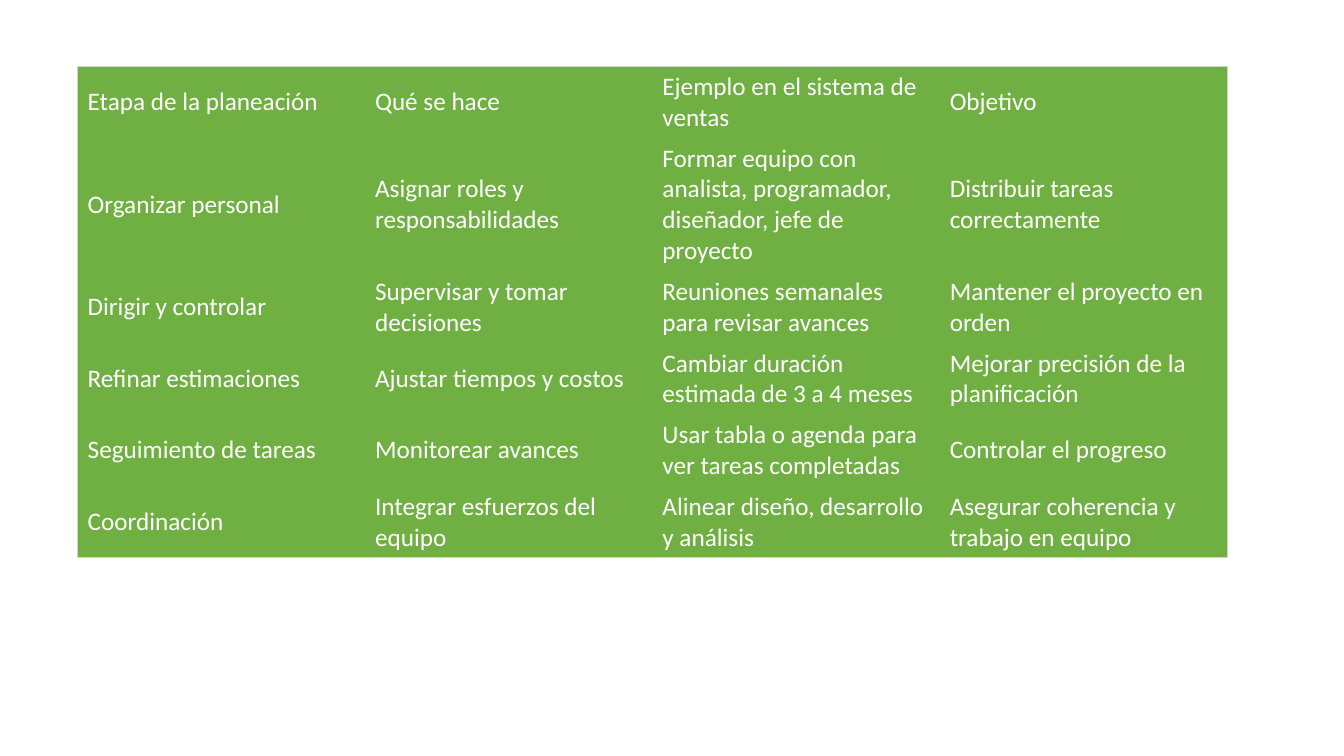
from dataclasses import dataclass

from lxml.etree import SubElement
from pptx import Presentation
from pptx.dml.color import RGBColor
from pptx.enum.text import MSO_ANCHOR
from pptx.oxml.ns import qn
from pptx.util import Inches, Pt

PLANNING_STAGES = [
    ("Etapa de la planeación", "Qué se hace", "Ejemplo en el sistema de ventas", "Objetivo"),
    ("Organizar personal", "Asignar roles y responsabilidades",
     "Formar equipo con analista, programador, diseñador, jefe de proyecto",
     "Distribuir tareas correctamente"),
    ("Dirigir y controlar", "Supervisar y tomar decisiones",
     "Reuniones semanales para revisar avances", "Mantener el proyecto en orden"),
    ("Refinar estimaciones", "Ajustar tiempos y costos",
     "Cambiar duración estimada de 3 a 4 meses", "Mejorar precisión de la planificación"),
    ("Seguimiento de tareas", "Monitorear avances",
     "Usar tabla o agenda para ver tareas completadas", "Controlar el progreso"),
    ("Coordinación", "Integrar esfuerzos del equipo",
     "Alinear diseño, desarrollo y análisis", "Asegurar coherencia y trabajo en equipo"),
]


@dataclass(frozen=True)
class Theme:
    font: str = "Calibri"
    text_size: float = 18
    text: str = "FFFFFF"
    fill: str = "70B043"
    border: str = "C9DBC1"
    border_width: float = 0.5


THEME = Theme()
SLIDE_WIDTH, SLIDE_HEIGHT = 13.33, 7.5
TABLE_LEFT, TABLE_TOP = 0.77, 0.66
COLUMN_WIDTH = 2.85
ROW_HEIGHT, TALL_ROW_HEIGHT = 0.69, 1.29
TALL_ROW = 1
NO_GRID_STYLE = "{2D5ABB26-0587-4C30-8999-92F81FD0307C}"


def add_border(cell, edge):
    properties = cell._tc.get_or_add_tcPr()
    line = SubElement(properties, qn(f"a:{edge}"), w=str(Pt(THEME.border_width)))
    line_fill = SubElement(line, qn("a:solidFill"))
    SubElement(line_fill, qn("a:srgbClr"), val=THEME.border)


def format_cell(cell, text):
    cell.text_frame.text = text
    cell.vertical_anchor = MSO_ANCHOR.MIDDLE
    cell.fill.solid()
    cell.fill.fore_color.rgb = RGBColor.from_string(THEME.fill)
    font = cell.text_frame.paragraphs[0].runs[0].font
    font.name = THEME.font
    font.size = Pt(THEME.text_size)
    font.bold = False
    font.color.rgb = RGBColor.from_string(THEME.text)


def add_planning_table(slide):
    row_count, column_count = len(PLANNING_STAGES), len(PLANNING_STAGES[0])
    heights = [TALL_ROW_HEIGHT if row == TALL_ROW else ROW_HEIGHT for row in range(row_count)]
    table = slide.shapes.add_table(
        row_count, column_count, Inches(TABLE_LEFT), Inches(TABLE_TOP),
        Inches(COLUMN_WIDTH * column_count), Inches(sum(heights))).table
    table.first_row = table.horz_banding = False
    table._tbl.tblPr.find(qn("a:tableStyleId")).text = NO_GRID_STYLE
    for column in table.columns:
        column.width = Inches(COLUMN_WIDTH)
    for row, (stage, height) in enumerate(zip(PLANNING_STAGES, heights)):
        table.rows[row].height = Inches(height)
        for column, text in enumerate(stage):
            cell = table.cell(row, column)
            outer_edges = {
                "lnL": column == 0,
                "lnR": column == column_count - 1,
                "lnT": row == 0,
                "lnB": row == row_count - 1,
            }
            for edge, is_outer in outer_edges.items():
                if is_outer:
                    add_border(cell, edge)
            format_cell(cell, text)


def main():
    presentation = Presentation()
    presentation.slide_width = Inches(SLIDE_WIDTH)
    presentation.slide_height = Inches(SLIDE_HEIGHT)
    slide = presentation.slides.add_slide(presentation.slide_layouts[6])
    add_planning_table(slide)
    presentation.save("out.pptx")


if __name__ == "__main__":
    main()
